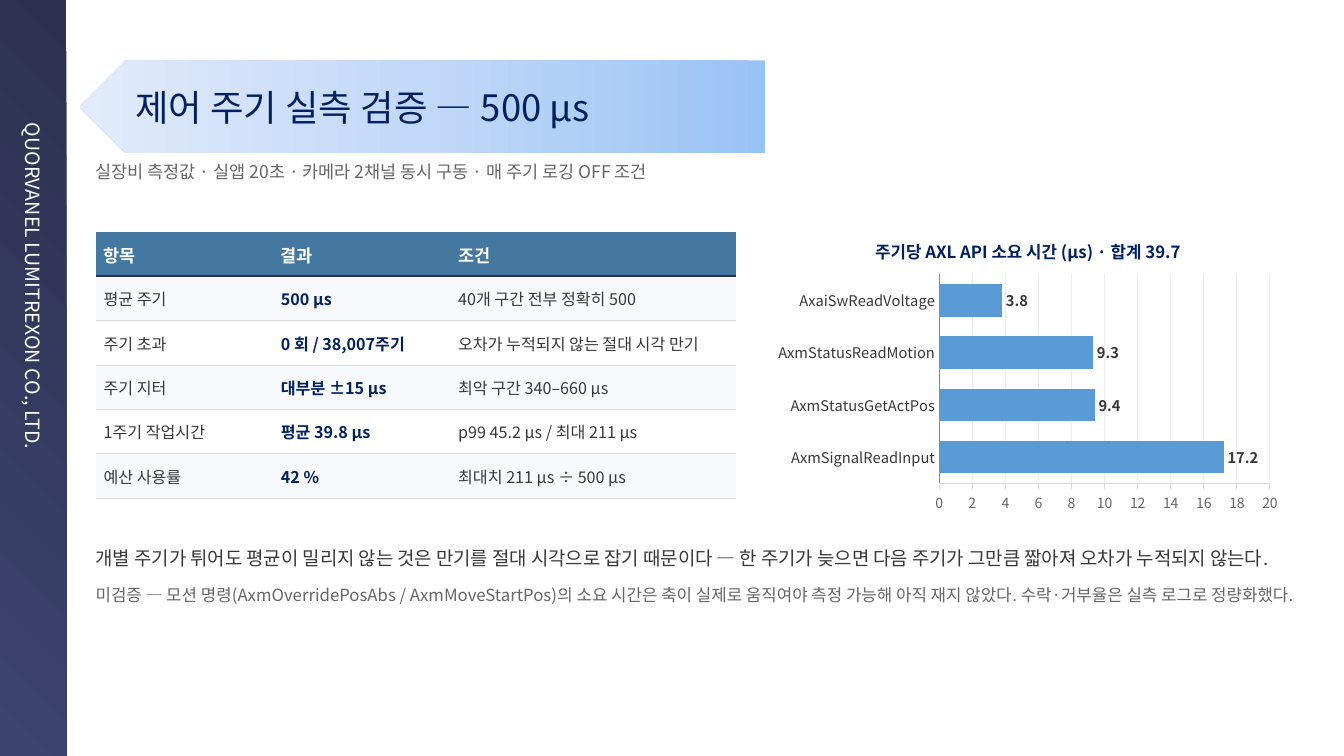
from typing import NamedTuple

from lxml.etree import SubElement
from pptx import Presentation
from pptx.chart.data import CategoryChartData
from pptx.dml.color import RGBColor
from pptx.enum.chart import XL_CHART_TYPE as ChartType, XL_LABEL_POSITION as LabelPosition
from pptx.enum.chart import XL_TICK_MARK as TickMark
from pptx.enum.shapes import MSO_SHAPE as Preset
from pptx.enum.text import MSO_ANCHOR as Anchor, MSO_AUTO_SIZE as AutoSize, PP_ALIGN as Align
from pptx.oxml import parse_xml
from pptx.oxml.ns import nsdecls, qn
from pptx.util import Cm, Pt

FONT = "Noto Sans CJK KR"
NAVY, TEXT, GRAY, WHITE, RULE = "002060", "383838", "666666", "FFFFFF", "D9D9D9"
NO_STYLE = "{2D5ABB26-0587-4C30-8999-92F81FD0307C}"
COLUMN_SHARES = (0.277, 0.277, 0.446)
HEADERS = ("항목", "결과", "조건")
RESULTS = (
    ("평균 주기", "500 µs", "40개 구간 전부 정확히 500"),
    ("주기 초과", "0 회 / 38,007주기", "오차가 누적되지 않는 절대 시각 만기"),
    ("주기 지터", "대부분 ±15 µs", "최악 구간 340–660 µs"),
    ("1주기 작업시간", "평균 39.8 µs", "p99 45.2 µs / 최대 211 µs"),
    ("예산 사용률", "42 %", "최대치 211 µs ÷ 500 µs"),
)
API_TIMES = {
    "AxmSignalReadInput": 17.2,
    "AxmStatusGetActPos": 9.4,
    "AxmStatusReadMotion": 9.3,
    "AxaiSwReadVoltage": 3.8,
}
NOTES = (
    ("개별 주기가 튀어도 평균이 밀리지 않는 것은 만기를 절대 시각으로 잡기 때문이다 — "
     "한 주기가 늦으면 다음 주기가 그만큼 짧아져 오차가 누적되지 않는다.", 13.5, TEXT, 1.3, 7),
    ("미검증 — 모션 명령(AxmOverridePosAbs / AxmMoveStartPos)의 소요 시간은 축이 실제로 움직여야 "
     "측정 가능해 아직 재지 않았다. 수락·거부율은 실측 로그로 정량화했다.", 12, GRAY, 1.25, 0),
)


class Box(NamedTuple):
    """A region of the slide, in centimetres."""
    left: float
    top: float
    width: float
    height: float

    def lengths(self):
        """Return the four values as lengths."""
        return [Cm(value) for value in self]


def rgb(code):
    """Turn a hex string into a colour."""
    return RGBColor.from_string(code)


def apply(target, **values):
    """Set each named value on the target."""
    for name, value in values.items():
        setattr(target, name, value)


def format_font(font, size, color, bold=False):
    """Give a font its face, size, weight and colour."""
    apply(font, name=FONT, size=Pt(size), bold=bold)
    font.color.rgb = rgb(color)


def write(paragraph, text, size, color, bold=False, **layout):
    """Put one formatted run in a paragraph."""
    apply(paragraph, alignment=Align.LEFT, **layout)
    run = paragraph.add_run()
    run.text = text
    format_font(run.font, size, color, bold)
    SubElement(run._r.get_or_add_rPr(), qn("a:ea"), typeface=FONT)


def set_frame(frame, left=0.0, anchor=Anchor.TOP, wrap=True):
    """Clear the insets of a text frame and set its anchor and wrapping."""
    apply(frame, margin_left=Cm(left), margin_right=0, margin_top=0, margin_bottom=0,
          vertical_anchor=anchor, word_wrap=wrap, auto_size=AutoSize.NONE)


def move(shape, box):
    """Place a shape in a box, in front of the others."""
    for name, value in zip(("left", "top", "width", "height"), box.lengths()):
        setattr(shape, name, value)
    shape.element.getparent().append(shape.element)


def add_gradient_shape(slide, preset, box, colors, angle):
    """Add a borderless shape with evenly spaced gradient stops."""
    shape = slide.shapes.add_shape(preset, *box.lengths())
    shape.shadow.inherit = False
    shape.line.fill.background()
    shape.fill.gradient()
    shape.fill.gradient_angle = angle
    stops = shape.element.spPr.find(".//" + qn("a:gsLst"))
    stops.clear()
    for index, color in enumerate(colors):
        position = 100000 * index // (len(colors) - 1)
        stop = SubElement(stops, qn("a:gs"), pos=str(position))
        SubElement(stop, qn("a:srgbClr"), val=color)
    return shape


def add_sidebar(slide, box):
    """Add the upright band with the company name."""
    turned = Box(box.left + (box.width - box.height) / 2, box.top + (box.height - box.width) / 2,
                 box.height, box.width)
    band = add_gradient_shape(slide, Preset.RECTANGLE, turned, ("2C314F", "3D446F"), 315)
    band.rotation = 90
    set_frame(band.text_frame, 3.1, Anchor.MIDDLE)
    write(band.text_frame.paragraphs[0], "QUORVANEL LUMITREXON CO., LTD.", 14, WHITE)


def add_heading(slide, box):
    """Add the arrow banner, the title on it and the line below."""
    banner = add_gradient_shape(slide, Preset.PENTAGON, box, ("9AC3F5", "C2D8F8", "E1EBFB"), 0)
    banner.element.spPr.find(qn("a:xfrm")).set("flipH", "1")
    title = slide.shapes.title
    move(title, Box(box.left + 1.4, box.top, box.width - 2.5, box.height))
    set_frame(title.text_frame, anchor=Anchor.MIDDLE, wrap=False)
    write(title.text_frame.paragraphs[0], "제어 주기 실측 검증 — 500 µs", 26, NAVY)
    conditions = slide.shapes.add_textbox(
        *Box(box.left + 0.4, box.top + box.height + 0.2, 30.3, 0.86).lengths())
    set_frame(conditions.text_frame)
    write(conditions.text_frame.paragraphs[0],
          "실장비 측정값 · 실앱 20초 · 카메라 2채널 동시 구동 · 매 주기 로깅 OFF 조건", 12.5, GRAY)


def fill_cell(cell, text, size, color, bold, fill, rule, rule_width):
    """Write one table cell with its fill and lower rule."""
    apply(cell, margin_left=Cm(0.2), margin_right=Cm(0.2), margin_top=Cm(0.08),
          margin_bottom=Cm(0.08), vertical_anchor=Anchor.MIDDLE)
    write(cell.text_frame.paragraphs[0], text, size, color, bold, line_spacing=1.05)
    cell.fill.solid()
    cell.fill.fore_color.rgb = rgb(fill)
    cell._tc.get_or_add_tcPr().insert(0, parse_xml(
        f'<a:lnB {nsdecls("a")} w="{Pt(rule_width)}"><a:solidFill>'
        f'<a:srgbClr val="{rule}"/></a:solidFill></a:lnB>'))


def add_results(slide, box):
    """Add the table of measured results."""
    rows = (HEADERS, *RESULTS)
    frame = slide.shapes.add_table(len(rows), len(HEADERS), *box.lengths())
    table = frame.table
    frame.element.find(".//" + qn("a:tableStyleId")).text = NO_STYLE
    for column, share in zip(table.columns, COLUMN_SHARES):
        column.width = Cm(box.width * share)
    for row, texts in enumerate(rows):
        for column, text in enumerate(texts):
            if row == 0:
                look = (12.5, WHITE, True, "4478A0", "2C314F", 1.2)
            else:
                result = column == 1
                look = (11.5, NAVY if result else TEXT, result,
                        "F7F9FC" if row % 2 else WHITE, RULE, 0.6)
            fill_cell(table.cell(row, column), text, *look)


def add_time_chart(slide, box):
    """Add the bar chart of time per call."""
    data = CategoryChartData()
    data.categories = list(API_TIMES)
    data.add_series("Series 1", list(API_TIMES.values()))
    chart = slide.shapes.add_chart(ChartType.BAR_CLUSTERED, *box.lengths(), data).chart
    apply(chart, has_legend=False, has_title=True)
    format_font(chart.font, 10.5, TEXT)
    chart.chart_title.include_in_layout = False
    write(chart.chart_title.text_frame.paragraphs[0],
          "주기당 AXL API 소요 시간 (µs) · 합계 39.7", 12, NAVY, True)
    categories, values = chart.category_axis, chart.value_axis
    apply(categories, major_tick_mark=TickMark.NONE, has_major_gridlines=False)
    format_font(categories.tick_labels.font, 10.5, TEXT)
    apply(values, minimum_scale=0, maximum_scale=20, major_unit=2,
          major_tick_mark=TickMark.OUTSIDE, has_major_gridlines=True)
    format_font(values.tick_labels.font, 10, GRAY)
    for line, color in ((values.format.line, RULE), (values.major_gridlines.format.line, "ECECEC")):
        line.color.rgb = rgb(color)
        line.width = Pt(0.75)
    plot = chart.plots[0]
    apply(plot, gap_width=60, vary_by_categories=False, has_data_labels=True)
    apply(plot.data_labels, show_value=True, position=LabelPosition.OUTSIDE_END)
    format_font(plot.data_labels.font, 10.5, TEXT, True)
    bars = plot.series[0].format.fill
    bars.solid()
    bars.fore_color.rgb = rgb("5B9BD5")


def add_notes(slide, box):
    """Write the closing remarks in the body placeholder."""
    body = slide.placeholders[1]
    move(body, box)
    frame = body.text_frame
    set_frame(frame)
    for index, (text, size, color, spacing, after) in enumerate(NOTES):
        paragraph = frame.add_paragraph() if index else frame.paragraphs[0]
        properties = paragraph._p.get_or_add_pPr()
        properties.set("marL", "0")
        properties.set("indent", "0")
        SubElement(properties, qn("a:buNone"))
        write(paragraph, text, size, color, line_spacing=spacing,
              space_before=Pt(0), space_after=Pt(after))


def main():
    """Build the slide and save it."""
    presentation = Presentation()
    apply(presentation, slide_width=Cm(33.87), slide_height=Cm(19.05))
    slide = presentation.slides.add_slide(presentation.slide_layouts[1])
    add_sidebar(slide, Box(0, 0, 1.67, 19.05))
    add_heading(slide, Box(2.01, 1.52, 17.27, 2.34))
    add_results(slide, Box(2.41, 5.84, 16.13, 6.71))
    add_time_chart(slide, Box(19.35, 5.59, 13.11, 7.49))
    add_notes(slide, Box(2.41, 13.61, 30.3, 2.41))
    presentation.save("out.pptx")


if __name__ == "__main__":
    main()
